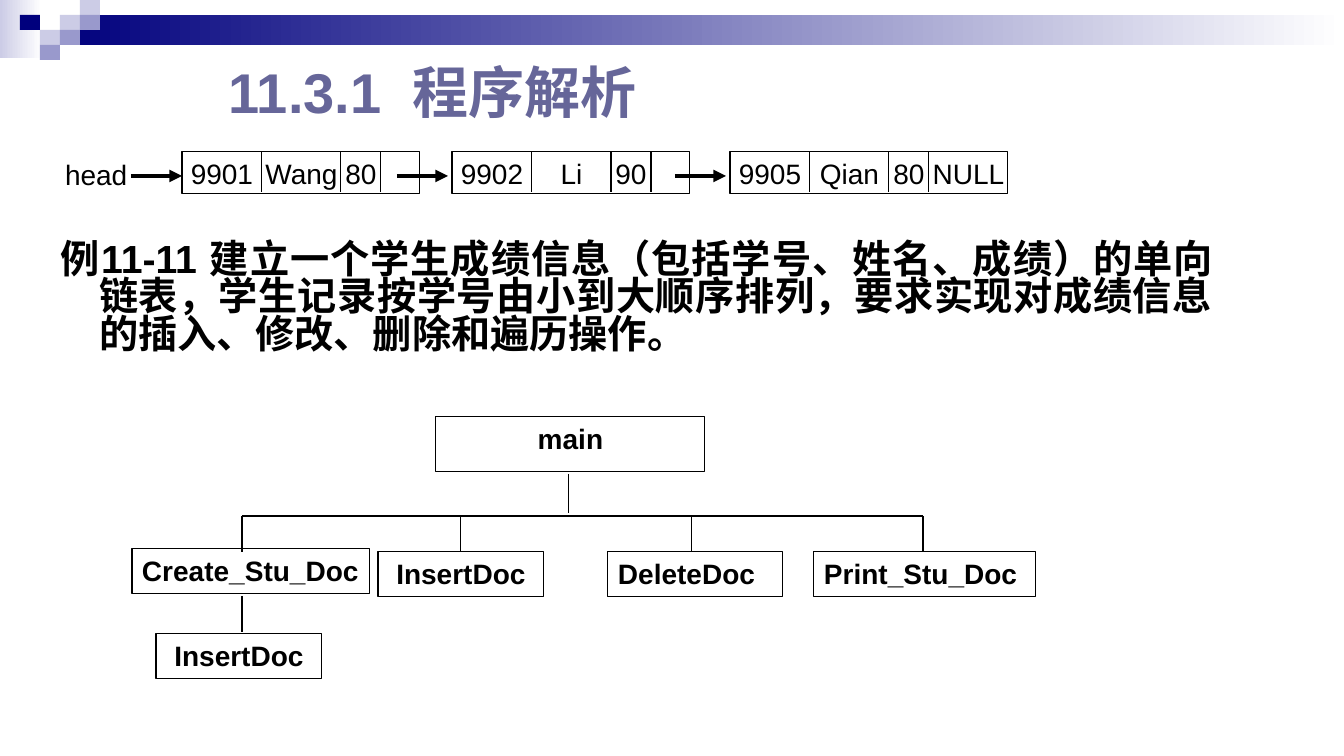
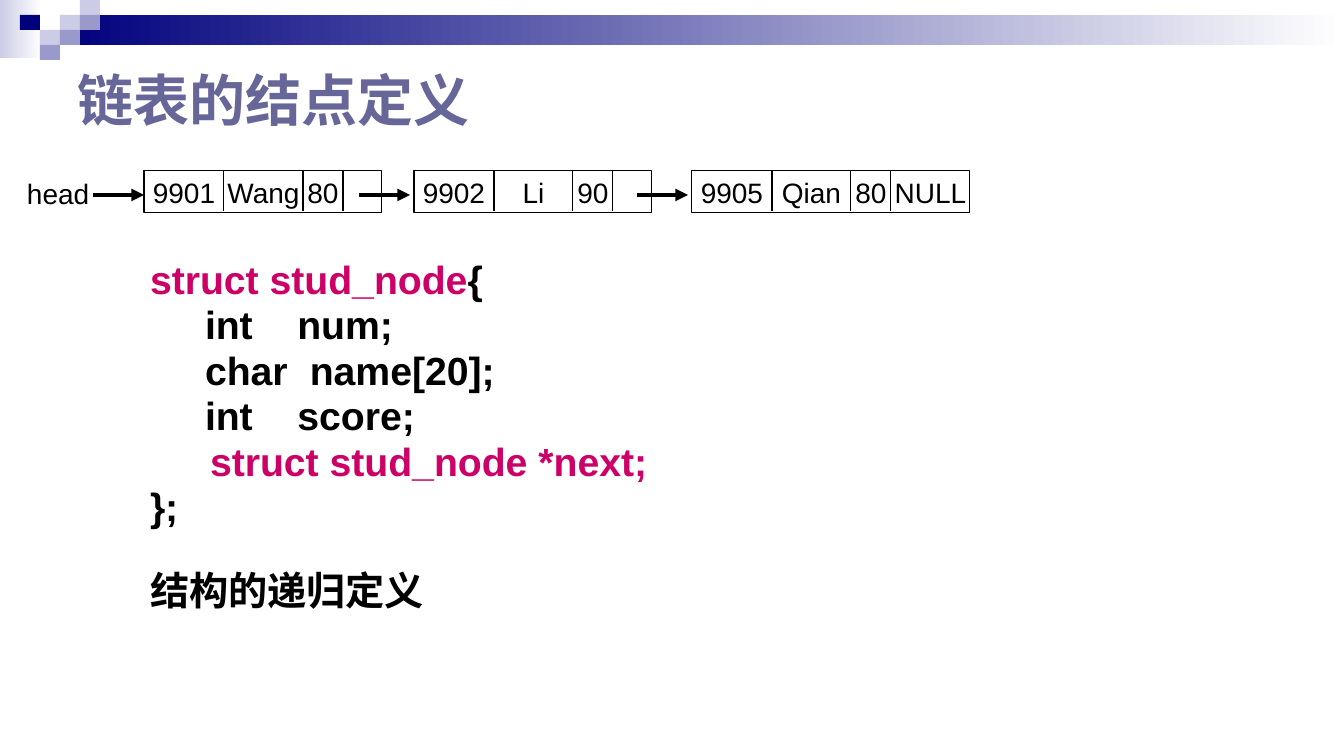
from itertools import pairwise

from lxml import etree
from pptx import Presentation
from pptx import util as u
from pptx.dml.color import RGBColor
from pptx.enum import shapes, text
from pptx.oxml.ns import qn

PX = 914400 / 100.8
FONT = "Arial"
COLORS = {
    "black": "000000", "white": "FFFFFF", "navy": "00007D", "pale": "CCCCE6",
    "lilac": "9999CC", "title": "666699", "pink": "CC0066",
}
LEFT, CENTER, JUSTIFY = (
    text.PP_ALIGN.LEFT, text.PP_ALIGN.CENTER, text.PP_ALIGN.JUSTIFY)
TOP, MIDDLE = text.MSO_ANCHOR.TOP, text.MSO_ANCHOR.MIDDLE


def px(*lengths):
    return [u.Emu(round(length * PX)) for length in lengths]


def rgb(name):
    return RGBColor.from_string(COLORS[name])


def style_font(font, size, color="black", bold=False):
    font.name, font.size, font.bold = FONT, u.Pt(size), bold
    font.color.rgb = rgb(color)


def set_indent(para, margin=0, indent=0):
    """Set indents in px, without a bullet; call before the font."""
    props = para._p.get_or_add_pPr()
    for name, length in zip(("marL", "indent"), px(margin, indent)):
        props.set(name, str(length))
    etree.SubElement(props, qn("a:buNone"))


def add_spans(para, spans):
    """Add (words, color, tracking in points) runs."""
    for words, color, tracking in spans:
        span = para.add_run()
        span.text = words
        if color:
            span.font.color.rgb = rgb(color)
        if tracking:
            span._r.get_or_add_rPr().set("spc", str(tracking * 100))


def set_frame(frame, anchor, left=10, right=10):
    frame.word_wrap = True
    frame.auto_size = text.MSO_AUTO_SIZE.NONE
    frame.vertical_anchor = anchor
    frame.margin_left, frame.margin_right = px(left, right)
    frame.margin_top, frame.margin_bottom = px(5, 5)


def add_rect(parent, x, y, width, height, fill=None, line=None):
    rect = parent.shapes.add_shape(
        shapes.MSO_SHAPE.RECTANGLE, *px(x, y, width, height))
    rect.shadow.inherit = False
    if isinstance(fill, tuple):
        rect.fill.gradient()
        rect.fill.gradient_angle = 0
        for stop, color, position in zip(rect.fill.gradient_stops, fill, (0, 1)):
            stop.color.rgb, stop.position = rgb(color), position
    elif fill:
        rect.fill.solid()
        rect.fill.fore_color.rgb = rgb(fill)
    else:
        rect.fill.background()
    if line:
        rect.line.color.rgb, rect.line.width = rgb(line), u.Pt(0.75)
    else:
        rect.line.fill.background()
    return rect


def add_line(parent, x1, y1, x2, y2, width=0.75, arrow=False):
    line = parent.shapes.add_connector(
        shapes.MSO_CONNECTOR.STRAIGHT, *px(x1, y1, x2, y2))
    line.line.color.rgb, line.line.width = rgb("black"), u.Pt(width)
    if arrow:
        etree.SubElement(line.line._get_or_add_ln(), qn("a:tailEnd"), type="triangle")
    etree.SubElement(line.element.spPr, qn("a:effectLst"))


def write_label(shape, label, align=LEFT, anchor=TOP, bold=False, left=10, right=0):
    set_frame(shape.text_frame, anchor, left, right)
    para = shape.text_frame.paragraphs[0]
    para.text, para.alignment = label, align
    style_font(para.font, 20, bold=bold)


def decorate_master(deck, page):
    """Draw the band and the squares on a page, then move them to the master."""
    bands = [
        add_rect(page, 0, 0, 42, 58, ("pale", "white")),
        add_rect(page, 60, 15, 1284, 30, ("navy", "white")),
    ]
    squares = [
        (3, 1, "pale"), (4, 0, "pale"), (4, 1, "lilac"), (2, 2, "pale"),
        (1, 1, "navy"), (3, 2, "lilac"), (2, 3, "lilac"),
    ]
    bands += [add_rect(page, column * 20, row * 15, 20, 15, color)
              for column, row, color in squares]
    tree = deck.slide_master.element.cSld.spTree
    for index, band in enumerate(bands):
        band.element.nvSpPr.cNvPr.set("id", str(100 + index))
        tree.insert(2 + index, band.element)


def place(shape, x, y, width, height):
    shape.left, shape.top, shape.width, shape.height = px(x, y, width, height)


def set_title(page, x, y, spans):
    title = page.shapes.title
    place(title, x, y, 907, 82)
    set_frame(title.text_frame, MIDDLE)
    para = title.text_frame.paragraphs[0]
    para.alignment = LEFT
    set_indent(para)
    style_font(para.font, 40, "title", True)
    add_spans(para, spans)


def set_body(page, box, lines):
    """Fill the body; a line is (spans, align, space before, margin, indent)."""
    body = page.placeholders[1]
    place(body, *box)
    frame = body.text_frame
    set_frame(frame, TOP)
    for index, (spans, align, before, margin, indent) in enumerate(lines):
        para = frame.add_paragraph() if index else frame.paragraphs[0]
        para.alignment, para.line_spacing = align, 0.8
        para.space_before = u.Pt(before)
        set_indent(para, margin, indent)
        style_font(para.font, 28, bold=True)
        add_spans(para, spans)


def add_node(group, x, y, width, fields):
    """Draw a box with four cells and centre a field in each cell."""
    add_rect(group, x, y, width, 42, line="black")
    edges = (0, 80, 159, 199, width)
    for edge in edges[1:-1]:
        add_line(group, x + edge, y, x + edge, y + 40)
    for field, (start, end) in zip(fields, pairwise(edges)):
        cell = group.shapes.add_textbox(*px(x + start, y, end - start, 42))
        write_label(cell, field, CENTER, MIDDLE, left=0)


def add_linked_list(page, x, y):
    group = page.shapes.add_group_shape()
    head = group.shapes.add_textbox(*px(x, y + 1, 83, 43))
    write_label(head, "head")
    nodes = [
        (127, 238, ("9901", "Wang", "80")),
        (397, 238, ("9902", "Li", "90")),
        (675, 278, ("9905", "Qian", "80", "NULL")),
    ]
    for left, width, fields in nodes:
        add_node(group, x + left, y, width, fields)
    for start in (76, 342, 620):
        add_line(group, x + start, y + 24, x + start + 51, y + 24, 3, True)


def add_call_tree(page, x, y):
    group = page.shapes.add_group_shape()
    branches = (110, 329, 560, 791)
    lines = [(branches[0], 99, branches[-1], 99), (437, 57, 437, 96),
             (110, 179, 110, 215)]
    lines += [(branch, 99, branch, 135) for branch in branches]
    for x1, y1, x2, y2 in lines:
        add_line(group, x + x1, y + y1, x + x2, y + y2)
    functions = [
        ("main", 304, 0, 269, 55, CENTER),
        ("Create_Stu_Doc", 0, 132, 238, 45, LEFT),
        ("InsertDoc", 246, 135, 166, 45, CENTER),
        ("DeleteDoc", 476, 135, 175, 45, LEFT),
        ("Print_Stu_Doc", 682, 135, 222, 45, LEFT),
        ("InsertDoc", 24, 217, 166, 45, CENTER),
    ]
    for name, left, top, width, height, align in functions:
        fill = "white" if name == "main" else None
        box = add_rect(group, x + left, y + top, width, height, fill, "black")
        write_label(box, name, align, bold=True, right=10 if align == CENTER else 0)


def build_analysis(page):
    set_title(page, 219, 50, [
        ("11.3.1", None, 0), (" ", None, 11), ("程序解析", None, 0)])
    task = ("例11-11 建立一个学生成绩信息（包括学号、姓名、成绩）的单向链表，"
            "学生记录按学号由小到大顺序排列，要求实现对成绩信息的插入、修改、"
            "删除和遍历操作。")
    set_body(page, (51, 238, 1172, 166),
             [([(task, None, 0)], JUSTIFY, 5.6, 38, -38)])
    add_call_tree(page, 132, 417)
    add_linked_list(page, 55, 152)


def build_definition(page):
    set_title(page, 68, 58, [("链表的结点定义", None, 0)])

    def member(kind, tracking, name):
        spans = [(kind, None, 0), (" ", None, tracking), (name, None, 0)]
        return spans, LEFT, 5.6, 55, 0

    set_body(page, (140, 259, 715, 397), [
        ([("struct stud_node", "pink", 0), ("{", None, 0)], LEFT, 5.6, 0, 0),
        member("int", 24, "num;"),
        member("char", 8, "name[20];"),
        member("int", 24, "score;"),
        ([("struct stud_node *next;", "pink", 0)], LEFT, 5.6, 60, 0),
        ([("};", None, 0)], LEFT, 5.6, 0, 0),
        ([("结构的递归定义", None, 0)], LEFT, 33, 0, 0),
    ])
    add_linked_list(page, 17, 171)


def main():
    deck = Presentation()
    deck.slide_width, deck.slide_height = px(1344, 756)
    layout = deck.slide_layouts[1]
    pages = [deck.slides.add_slide(layout) for _ in range(2)]
    decorate_master(deck, pages[0])
    for build, page in zip((build_analysis, build_definition), pages):
        build(page)
    deck.save("out.pptx")


if __name__ == "__main__":
    main()
